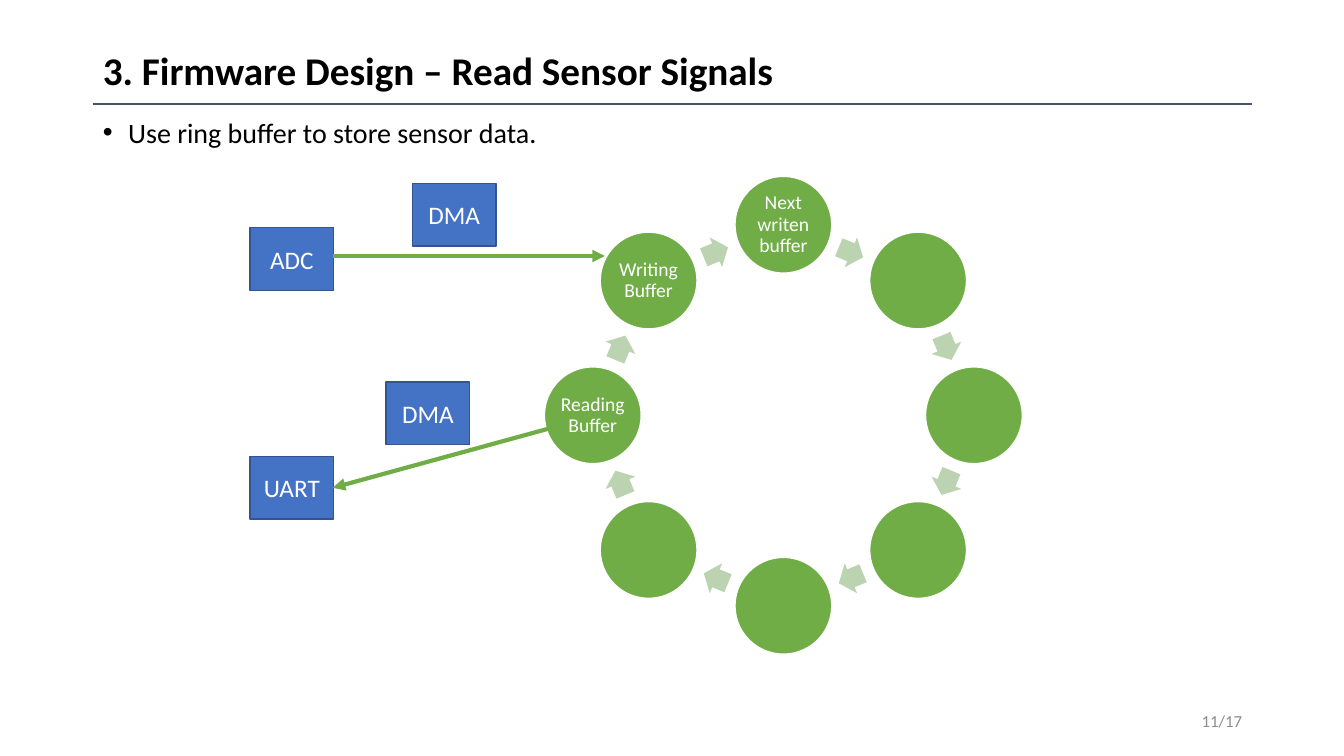
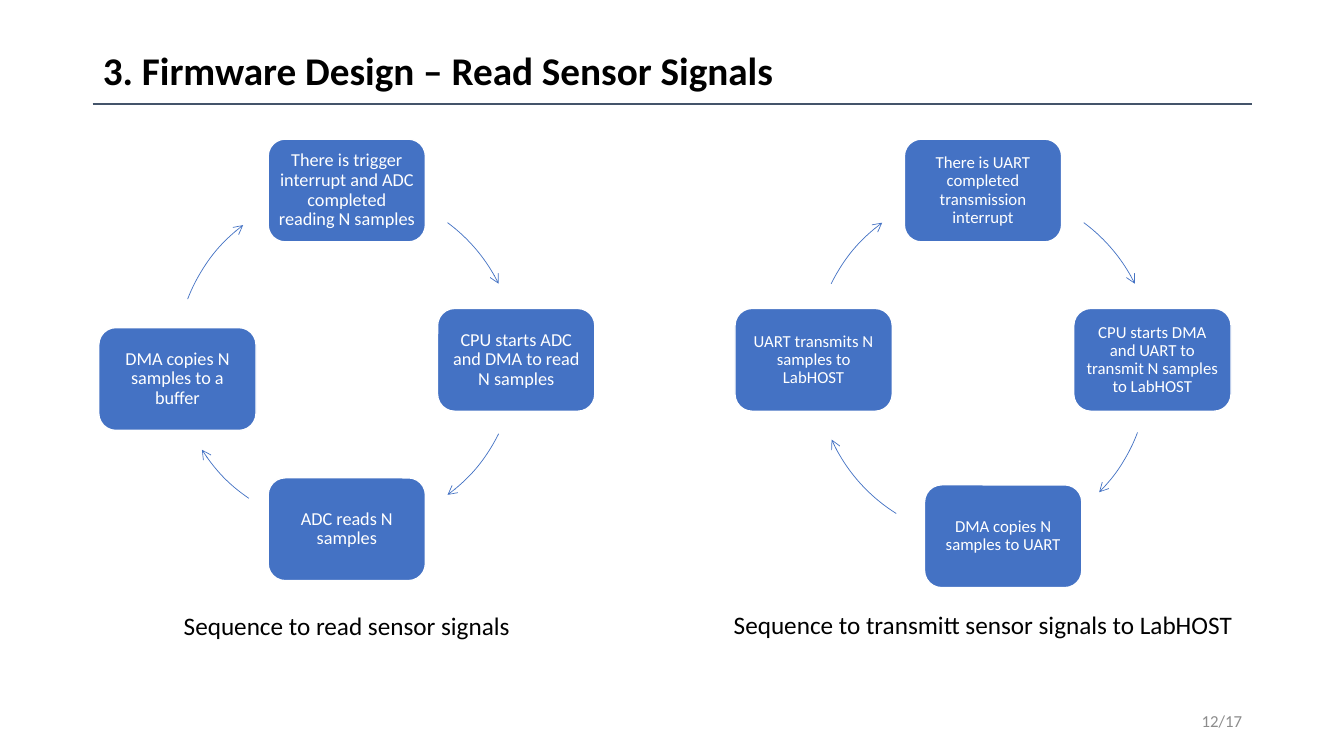
from math import cos, radians, sin

from lxml.etree import SubElement
from pptx import Presentation
from pptx.dml.color import RGBColor
from pptx.enum.shapes import MSO_CONNECTOR, MSO_SHAPE
from pptx.enum.text import MSO_ANCHOR, MSO_AUTO_SIZE, PP_ALIGN
from pptx.oxml.ns import qn
from pptx.util import Emu, Pt

EMU_PER_PX = 9144  # 100 px to the inch
WIDTH, HEIGHT = 1333, 750
FONT = "Calibri"
BLACK, WHITE, GREY, SLATE = "000000", "FFFFFF", "8C8C8C", "44546A"
BLUE, DARK_BLUE, GREEN, PALE_GREEN = "4472C4", "325491", "70AD47", "BBD3B1"
TITLE = "3. Firmware Design – Read Sensor Signals"
PAGE_TOTAL = 17
TITLE_AND_CONTENT, TITLE_ONLY = 1, 5


def px(value):
    return Emu(round(value * EMU_PER_PX))


def color(hex_string):
    return RGBColor.from_string(hex_string)


class Deck:
    """Holds the shared style, the presentation and the current slide."""

    def __init__(self):
        self.presentation = Presentation()
        self.presentation.slide_width = px(WIDTH)
        self.presentation.slide_height = px(HEIGHT)
        self.slide = None

    def new_slide(self, page, layout):
        self.slide = self.presentation.slides.add_slide(self.presentation.slide_layouts[layout])
        self.line((92, 103), (1242, 103), SLATE, 1)
        title = self.slide.shapes.title
        self.place(title, 92, 40, 1032, 65)
        self.add_text(title, TITLE, 28, BLACK, PP_ALIGN.LEFT, bold=True, spacing=0.9)
        self.label(f"{page}/{PAGE_TOTAL}", (942, 695, 300, 40), 12, GREY, PP_ALIGN.RIGHT)

    def place(self, shape, left, top, width, height):
        shape.left, shape.top = px(left), px(top)
        shape.width, shape.height = px(width), px(height)

    def add_text(self, shape, text, size, ink, align=PP_ALIGN.CENTER, bold=False, spacing=1.0,
                 anchor=MSO_ANCHOR.MIDDLE, inset=None):
        frame = shape.text_frame
        frame.word_wrap = True
        frame.auto_size = MSO_AUTO_SIZE.NONE
        frame.vertical_anchor = anchor
        if inset is not None:
            frame.margin_left = frame.margin_right = px(inset)
            frame.margin_top = frame.margin_bottom = px(inset)
        paragraph = frame.paragraphs[0]
        paragraph.alignment = align
        paragraph.line_spacing = spacing
        paragraph.space_before = Pt(0)
        run = paragraph.add_run()
        run.text = text
        run.font.name, run.font.size, run.font.bold = FONT, Pt(size), bold
        run.font.color.rgb = color(ink)
        return paragraph

    def bullet(self, text):
        body = self.slide.placeholders[1]
        self.place(body, 92, 113, 1150, 54)
        paragraph = self.add_text(body, text, 20, BLACK, PP_ALIGN.LEFT, spacing=0.9,
                                  anchor=MSO_ANCHOR.TOP)
        properties = paragraph._p.get_or_add_pPr()
        properties.set("marL", str(px(25)))
        properties.set("indent", str(px(-25)))
        SubElement(properties, qn("a:buChar")).set("char", "•")

    def label(self, text, box, size, ink, align=PP_ALIGN.CENTER):
        shape = self.slide.shapes.add_textbox(*map(px, box))
        self.add_text(shape, text, size, ink, align)

    def shape(self, kind, box, fill=None, outline=None, weight=1):
        shape = self.slide.shapes.add_shape(kind, *map(px, box))
        shape.shadow.inherit = False
        for target, ink in ((shape.fill, fill), (shape.line.fill, outline)):
            if ink is None:
                target.background()
            else:
                target.solid()
                target.fore_color.rgb = color(ink)
        if outline:
            shape.line.width = Pt(weight)
        return shape

    def arrowhead(self, shape, kind):
        outline = shape.element.spPr.find(qn("a:ln"))
        SubElement(outline, qn("a:tailEnd")).set("type", kind)

    def line(self, start, end, ink, weight, head=None):
        connector = self.slide.shapes.add_connector(
            MSO_CONNECTOR.STRAIGHT, *map(px, (*start, *end)))
        connector.line.color.rgb = color(ink)
        connector.line.width = Pt(weight)
        if head:
            self.arrowhead(connector, head)
        SubElement(connector.element.spPr, qn("a:effectLst"))

    def arc(self, center, radius, start, end):
        """Draw a clockwise arc arrow; angles are degrees from three o'clock."""
        x, y = center
        arc = self.shape(MSO_SHAPE.ARC, (x - radius, y - radius, 2 * radius, 2 * radius),
                         outline=BLUE, weight=0.5)
        for index, angle in enumerate((start, end)):
            arc.adjustments[index] = angle * 0.6  # 60000 units a degree, over 100000
        self.arrowhead(arc, "arrow")

    def device(self, text, left, top):
        shape = self.shape(MSO_SHAPE.RECTANGLE, (left, top, 83, 62), BLUE, DARK_BLUE)
        self.add_text(shape, text, 18, WHITE)

    def ring(self, center, radius, names):
        """Lay circles clockwise from the top, with an arrow after each."""
        step = 360 / len(names)
        diameter, arrow_radius, arrow_width, arrow_height = 96, 175, 26, 32

        def box(angle, distance, width, height):
            x = center[0] + distance * sin(radians(angle))
            y = center[1] - distance * cos(radians(angle))
            return x - width / 2, y - height / 2, width, height

        for index, name in enumerate(names):
            angle = index * step
            circle = self.shape(MSO_SHAPE.OVAL, box(angle, radius, diameter, diameter),
                                GREEN, WHITE)
            if name:
                self.add_text(circle, name, 14, WHITE, spacing=0.9, inset=2)
            angle += step / 2
            arrow = self.shape(MSO_SHAPE.RIGHT_ARROW,
                               box(angle, arrow_radius, arrow_width, arrow_height), PALE_GREEN)
            arrow.adjustments[0], arrow.adjustments[1] = 0.6, 0.5
            arrow.rotation = angle

    def cycle(self, steps, arcs, size):
        for text, left, top in steps:
            shape = self.shape(MSO_SHAPE.ROUNDED_RECTANGLE, (left, top, 156, 102), BLUE, WHITE)
            self.add_text(shape, text, size, WHITE, spacing=0.9, inset=5)
        for center, start, end in arcs:
            self.arc(center, 168, start, end)


def add_ring_buffer_slide(deck):
    deck.new_slide(11, TITLE_AND_CONTENT)
    deck.bullet("Use ring buffer to store sensor data.")
    deck.ring((777, 412), 189,
              ["Next writen buffer", "", "", "", "", "", "Reading Buffer", "Writing Buffer"])
    deck.device("ADC", 248, 226)
    deck.line((330, 254), (600, 254), GREEN, 3, "triangle")
    deck.device("UART", 248, 453)
    deck.line((545, 425), (330, 484), GREEN, 3, "triangle")
    deck.device("DMA", 409, 182)
    deck.device("DMA", 383, 379)


def add_sequences_slide(deck):
    deck.new_slide(12, TITLE_ONLY)
    deck.cycle(
        [("There is trigger interrupt and ADC completed reading N samples", 266, 138),
         ("CPU starts ADC and DMA to read N samples", 434, 306),
         ("ADC reads N samples", 266, 474),
         ("DMA copies N samples to a buffer", 98, 325)],
        [((344, 356), 306.5, 333.7), ((344, 356), 26.3, 53.5),
         ((342, 356), 124.5, 147.5), ((343, 357), 201, 232.7)], 13)
    deck.cycle(
        [("There is UART completed transmission interrupt", 897, 138),
         ("CPU starts DMA and UART to transmit N samples to LabHOST", 1065, 306),
         ("DMA copies N samples to UART", 917, 481),
         ("UART transmits N samples to LabHOST", 729, 306)],
        [((975, 356), 306.5, 333.7), ((971, 370), 20.6, 44.8),
         ((978, 367), 122, 155.7), ((975, 356), 206.3, 233.5)], 12)
    deck.label("Sequence to read sensor signals", (152, 601, 384, 40), 18, BLACK)
    deck.label("Sequence to transmitt sensor signals to LabHOST", (686, 599, 578, 40), 18, BLACK)


def main():
    deck = Deck()
    add_ring_buffer_slide(deck)
    add_sequences_slide(deck)
    deck.presentation.save("out.pptx")


if __name__ == "__main__":
    main()
